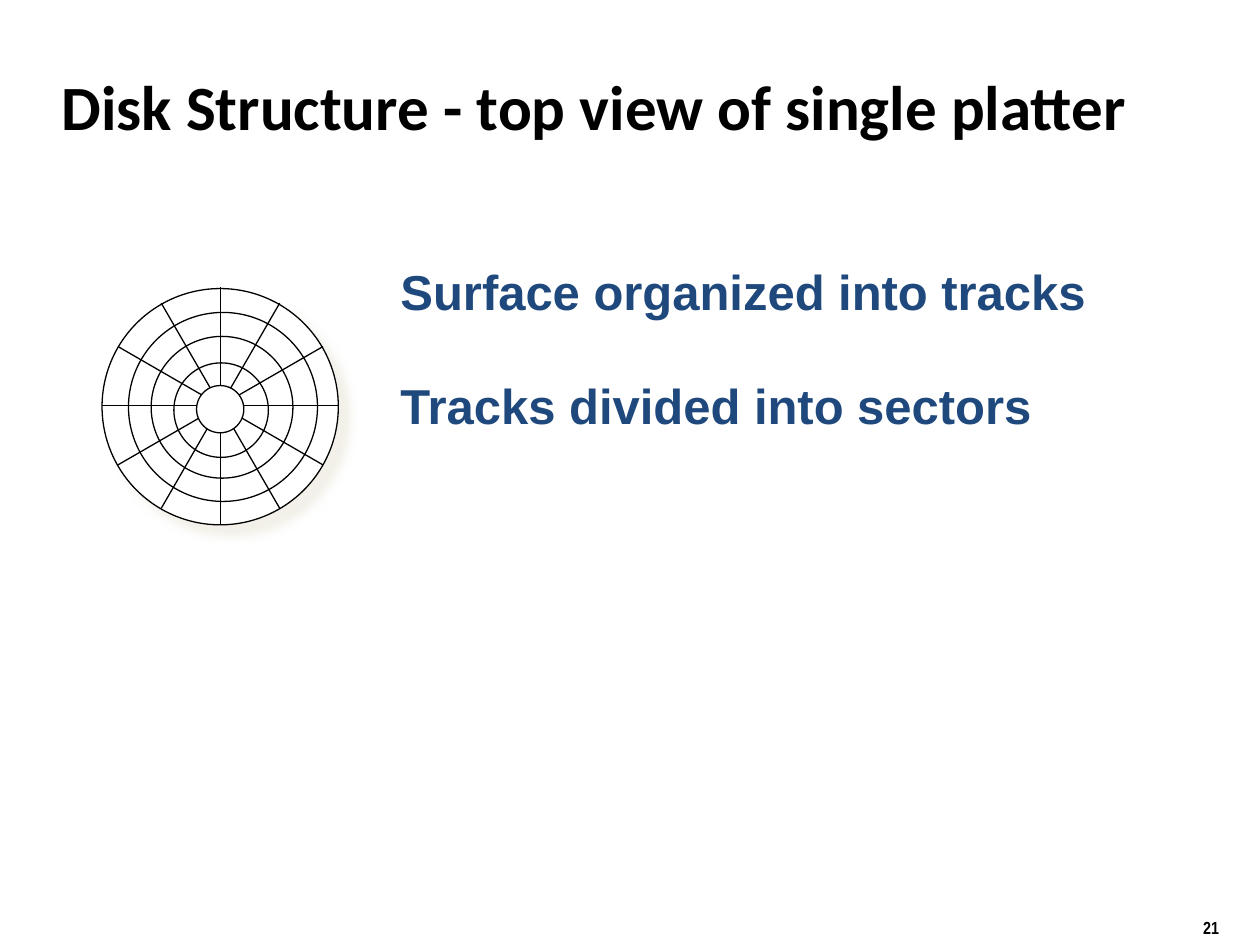
from math import cos, radians, sin

from lxml import etree
from pptx import Presentation
from pptx.dml.color import RGBColor
from pptx.enum.shapes import MSO_CONNECTOR, MSO_SHAPE
from pptx.enum.text import MSO_ANCHOR
from pptx.oxml import parse_xml
from pptx.oxml.ns import nsdecls, qn
from pptx.util import Inches, Pt

STRAIGHT = MSO_CONNECTOR.STRAIGHT
OVAL = MSO_SHAPE.OVAL
MIDDLE = MSO_ANCHOR.MIDDLE
BOTTOM = MSO_ANCHOR.BOTTOM
COLUMNS, ROWS = 100, 75


def color(value):
    return RGBColor.from_string(value)


class DiskSlide:
    ink = "000000"
    paper = "FFFFFF"
    accent = "1F497D"
    shade = "EEECE1"
    line_width = Pt(0.75)

    def __init__(self, presentation):
        self.slide = presentation.slides.add_slide(presentation.slide_layouts[6])
        self.column = presentation.slide_width / COLUMNS
        self.row = presentation.slide_height / ROWS

    def place(self, x, y):
        return round(x * self.column), round(y * self.row)

    def text(self, x, y, width, height, words, font, size, ink, anchor):
        box = self.slide.shapes.add_textbox(*self.place(x, y), *self.place(width, height))
        frame = box.text_frame
        frame.word_wrap = True
        frame.vertical_anchor = anchor
        run = frame.paragraphs[0].add_run()
        run.text = words
        run.font.name = font
        run.font.size = Pt(size)
        run.font.bold = True
        run.font.color.rgb = color(ink)

    def circle(self, x, y, diameter, filled=False):
        shape = self.slide.shapes.add_shape(
            OVAL, *self.place(x, y), *self.place(diameter, diameter))
        shape.shadow.inherit = False
        if filled:
            shape.fill.solid()
            shape.fill.fore_color.rgb = color(self.paper)
        else:
            shape.fill.background()
        shape.line.color.rgb = color(self.ink)
        shape.line.width = self.line_width
        return shape

    def soft_shadow(self, shape):
        effects = shape._element.spPr.find(qn("a:effectLst"))
        effects.append(parse_xml(
            f'<a:outerShdw {nsdecls("a")} blurRad="{Pt(5)}" dist="{Pt(8.5)}" '
            f'dir="2700000" algn="tl" rotWithShape="0"><a:srgbClr val="{self.shade}">'
            '<a:alpha val="75000"/></a:srgbClr></a:outerShdw>'))

    def diameter_line(self, x, y, radius, angle):
        across = radius * cos(radians(angle))
        down = radius * sin(radians(angle))
        connector = self.slide.shapes.add_connector(
            STRAIGHT, *self.place(x + across, y - down), *self.place(x - across, y + down))
        connector.line.color.rgb = color(self.ink)
        connector.line.width = self.line_width
        etree.SubElement(connector._element.spPr, qn("a:effectLst"))


def main():
    presentation = Presentation()
    presentation.slide_width = Inches(10)
    presentation.slide_height = Inches(7.5)
    disk = DiskSlide(presentation)

    disk.text(94.5, 72.3, 7.5, 2.6, "21", "Arial Narrow", 10, disk.ink, MIDDLE)
    disk.text(3.9, 4.2, 92.8, 8.3, "Disk Structure - top view of single platter",
              "Calibri", 36, disk.ink, MIDDLE)

    platter = disk.circle(8.1, 22.9, 18.75, filled=True)
    disk.soft_shadow(platter)
    for angle in range(0, 180, 30):
        disk.diameter_line(17.5, 32.2, 9.4, angle)
    for x, y, diameter in ((10.2, 24.8, 15), (12, 26.7, 11.25), (13.8, 28.8, 7.5)):
        disk.circle(x, y, diameter)
    disk.circle(15.6, 30.6, 3.75, filled=True)

    statements = ("Surface organized into tracks", "Tracks divided into sectors")
    for index, statement in enumerate(statements):
        disk.text(30.8, 16.7 + 9.1 * index, 62.5, 9.2, statement,
                  "Arial", 28, disk.accent, BOTTOM)

    presentation.save("out.pptx")


if __name__ == "__main__":
    main()
